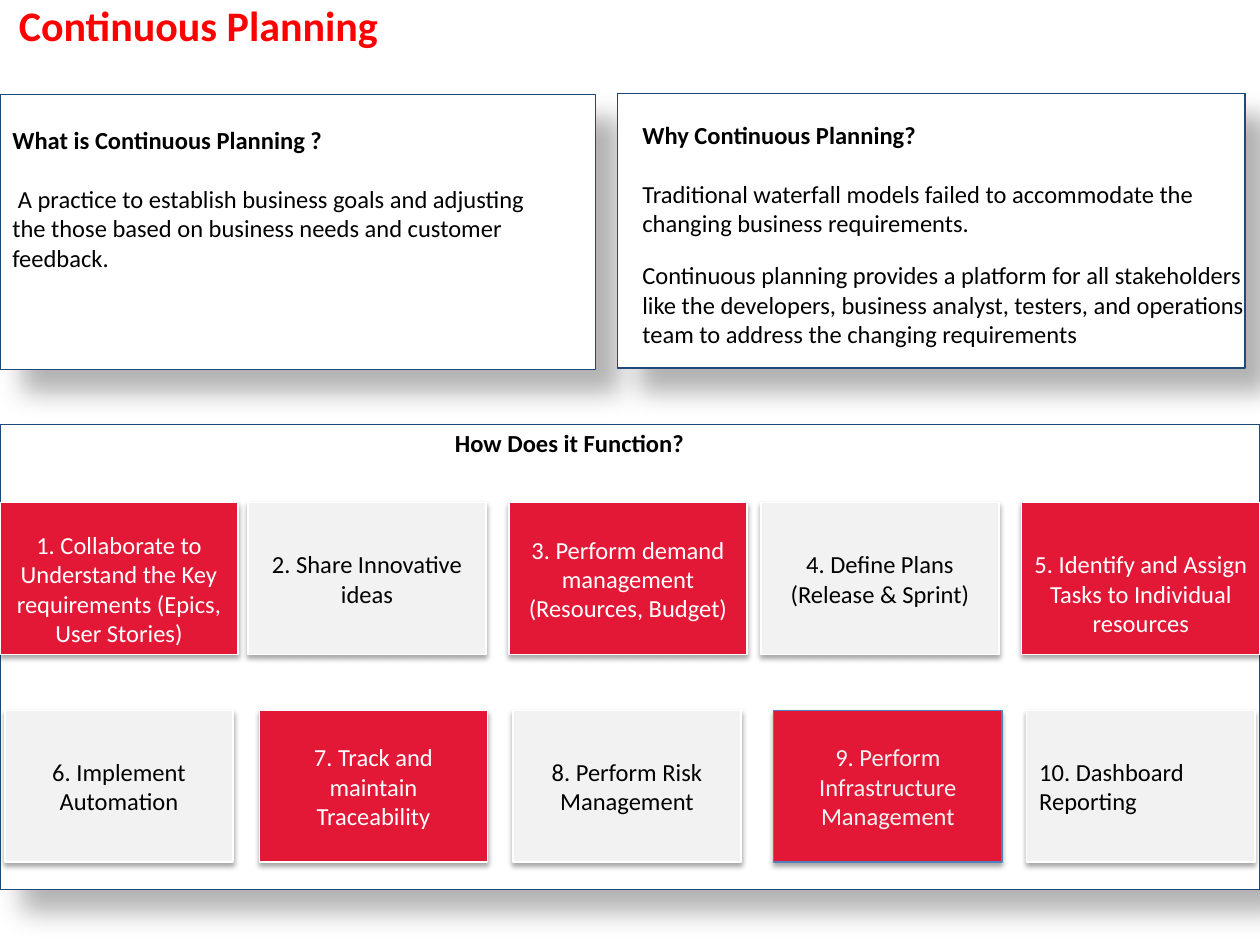
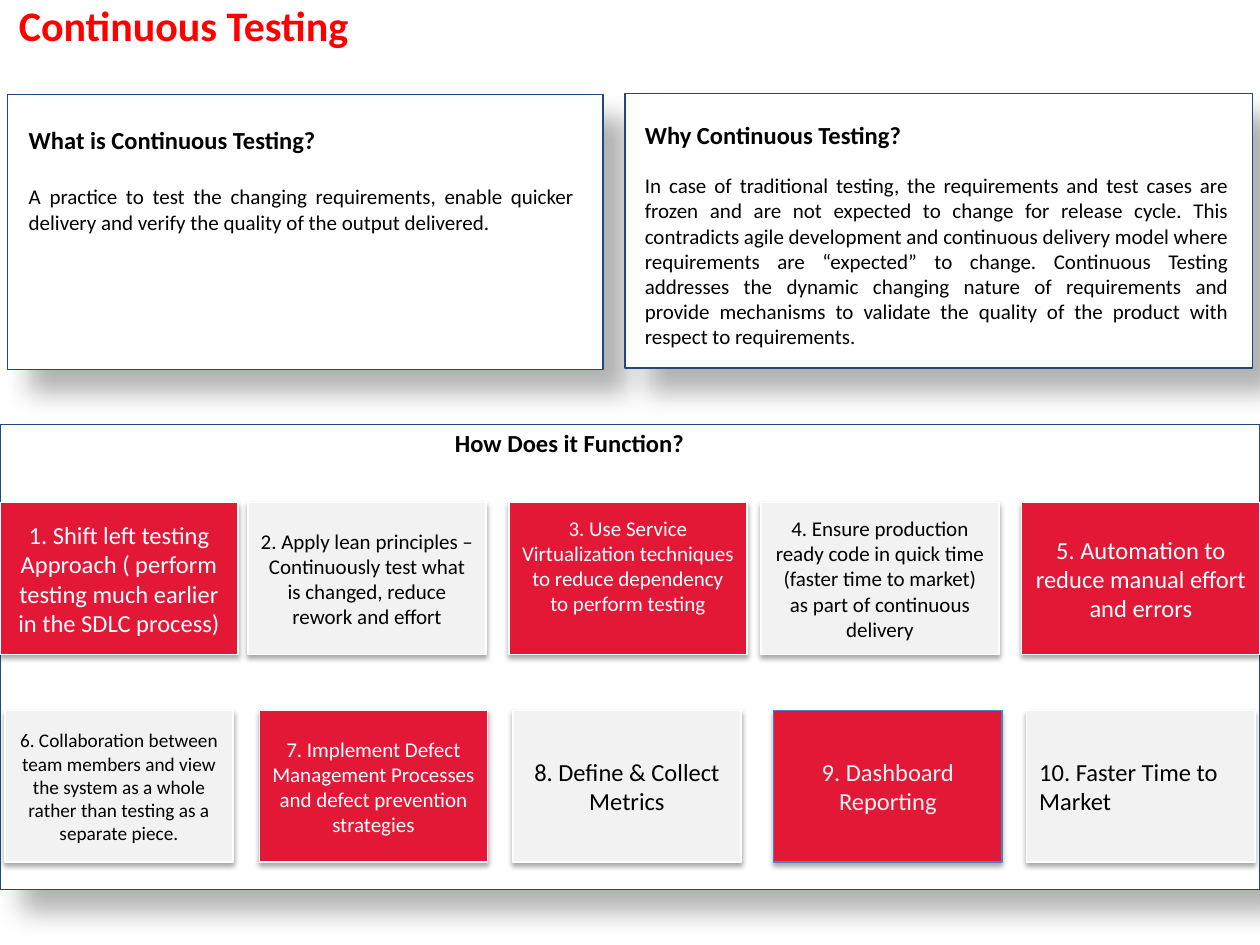
from lxml import etree
from pptx import Presentation
from pptx.dml.color import RGBColor
from pptx.enum.shapes import MSO_SHAPE
from pptx.enum.text import MSO_ANCHOR, PP_ALIGN
from pptx.oxml.ns import qn
from pptx.util import Cm, Pt

RECTANGLE = MSO_SHAPE.RECTANGLE
TOP, MIDDLE = MSO_ANCHOR.TOP, MSO_ANCHOR.MIDDLE
LEFT, CENTER, JUSTIFY = PP_ALIGN.LEFT, PP_ALIGN.CENTER, PP_ALIGN.JUSTIFY

# Shared look
FONT = "Calibri"
BLACK = RGBColor(0x00, 0x00, 0x00)
WHITE = RGBColor(0xFF, 0xFF, 0xFF)
TITLE_RED = RGBColor(0xFF, 0x00, 0x00)
CARD_RED = RGBColor(0xE3, 0x18, 0x37)
PALE_GREY = RGBColor(0xF2, 0xF2, 0xF2)
NAVY = RGBColor(0x1F, 0x49, 0x7D)
BLUE = RGBColor(0x4F, 0x81, 0xBD)

# Shadows: opacity in percent, blur and distance in points, angle in degrees
PANEL_SHADOW = (30, 15, 18, 45)
CARD_SHADOW = (35, 3.1, 1.8, 90)

# Card rows in cm: left edges, top, width, height
CARD_ROWS = [
    ((0, 5, 10.26, 15.34, 20.6), 10.13, 4.8, 3.07),
    ((0.1, 5.23, 10.34, 15.6, 20.7), 14.33, 4.6, 3.05),
]
# Cards that differ from the odd/even rule
CARD_STYLES = {
    9: {"line": BLUE, "color": PALE_GREY},
    10: {"align": LEFT},
}

# Content: paragraphs are (text, format); cards are (text, size, shift down in cm)
PLANNING = {
    "title": "Continuous Planning",
    "panels": [(0, 1.91, 12.01), (12.45, 1.88, 12.65)],
    "texts": [
        ((0, 2.39, 11.3, 3.25), [
            ("What is Continuous Planning ?", {"bold": True}),
            (" A practice to establish business goals and adjusting the those "
             "based on business needs and customer feedback.", {"before": 17}),
        ]),
        ((12.7, 2.29, 12.7, 5.05), [
            ("Why Continuous Planning?", {"bold": True}),
            ("Traditional waterfall models failed to accommodate the changing "
             "business requirements.", {"before": 17}),
            ("Continuous planning provides a platform for all stakeholders like "
             "the developers, business analyst, testers, and operations team to "
             "address the changing requirements", {"before": 12.8}),
        ]),
    ],
    "cards": [
        ("1. Collaborate to Understand the Key requirements (Epics, User Stories)", 14, 0.2),
        ("2. Share Innovative ideas", 14, 0),
        ("3. Perform demand management (Resources, Budget)", 14, 0),
        ("4. Define Plans (Release & Sprint)", 14, 0),
        ("5. Identify and Assign Tasks to Individual resources", 14, 0.3),
        ("6. Implement Automation", 14, 0),
        ("7. Track and maintain Traceability", 14, 0),
        ("8. Perform Risk Management", 14, 0),
        ("9. Perform Infrastructure Management", 14, 0),
        ("10. Dashboard Reporting", 14, 0),
    ],
}
TESTING = {
    "title": "Continuous Testing",
    "panels": [(0.15, 1.91, 12.01), (12.6, 1.88, 12.65)],
    "texts": [
        ((0.33, 2.39, 11.5, 2.5), [
            ("What is Continuous Testing?", {"bold": True}),
            ("A practice to test the changing requirements, enable quicker "
             "delivery and verify the quality of the output delivered.",
             {"size": 12, "align": JUSTIFY, "before": 17}),
        ]),
        ((12.75, 2.29, 12.27, 5.5), [
            ("Why Continuous Testing?", {"bold": True}),
            ("In case of traditional testing, the requirements and test cases are "
             "frozen and are not expected to change for release cycle. This "
             "contradicts agile development and continuous delivery model where "
             "requirements are “expected” to change. Continuous Testing addresses "
             "the dynamic changing nature of requirements and provide mechanisms "
             "to validate the quality of the product with respect to requirements.",
             {"size": 12, "align": JUSTIFY, "before": 13.4}),
        ]),
    ],
    "cards": [
        ("1. Shift left testing Approach ( perform testing much earlier in the SDLC process)", 14, 0),
        ("2. Apply lean principles – Continuously test what is changed, reduce rework and effort", 12, 0),
        ("3. Use Service Virtualization techniques to reduce dependency to perform testing", 12, -0.26),
        ("4. Ensure production ready code in quick time (faster time to market) "
         "as part of continuous delivery", 12, 0),
        ("5. Automation to reduce manual effort and errors", 14, 0),
        ("6. Collaboration between team members and view the system as a whole "
         "rather than testing as a separate piece.", 11, 0),
        ("7. Implement Defect Management Processes and defect prevention strategies", 12, 0),
        ("8. Define & Collect Metrics", 14, 0),
        ("9. Dashboard Reporting", 14, 0),
        ("10. Faster Time to Market", 14, 0),
    ],
}


def write(frame, paragraphs, **frame_format):
    """Fill a text frame with (text, format) paragraphs."""
    for name, value in {"word_wrap": True, "vertical_anchor": TOP, **frame_format}.items():
        setattr(frame, name, value)
    for index, (text, style) in enumerate(paragraphs):
        paragraph = frame.add_paragraph() if index else frame.paragraphs[0]
        paragraph.alignment = style.get("align", LEFT)
        paragraph.space_before = Pt(style.get("before", 0))
        run = paragraph.add_run()
        run.text = text
        font_format = {"name": FONT, "size": Pt(style.get("size", 14)),
                       "bold": style.get("bold", False)}
        for name, value in font_format.items():
            setattr(run.font, name, value)
        run.font.color.rgb = style.get("color", BLACK)


def add_text(slide, box, paragraphs, **frame_format):
    label = slide.shapes.add_textbox(*map(Cm, box))
    write(label.text_frame, paragraphs, **frame_format)


def add_shadow(shape, opacity, blur, distance, angle):
    shape.shadow.inherit = False
    effects = shape._element.spPr.find(qn("a:effectLst"))
    outer = etree.SubElement(effects, qn("a:outerShdw"), blurRad=str(Pt(blur)),
                             dist=str(Pt(distance)), dir=str(angle * 60000),
                             algn="tl", rotWithShape="0")
    color = etree.SubElement(outer, qn("a:srgbClr"), val=str(BLACK))
    etree.SubElement(color, qn("a:alpha"), val=str(opacity * 1000))


def add_box(slide, box, fill, line, shadow):
    shape = slide.shapes.add_shape(RECTANGLE, *map(Cm, box))
    shape.fill.solid()
    shape.fill.fore_color.rgb = fill
    shape.line.color.rgb = line
    shape.line.width = Pt(0.75)
    add_shadow(shape, *shadow)
    return shape


def add_panel(slide, left, top, width, height):
    add_box(slide, (left, top, width, height), WHITE, NAVY, PANEL_SHADOW)


def add_card(slide, box, number, text, size, shift):
    """Odd cards are red, even cards grey; a shift moves the text off centre."""
    is_red = number % 2 == 1
    style = {"line": WHITE, "color": WHITE if is_red else BLACK,
             "align": CENTER, "size": size, **CARD_STYLES.get(number, {})}
    card = add_box(slide, box, CARD_RED if is_red else PALE_GREY, style["line"], CARD_SHADOW)
    write(card.text_frame, [(text, style)], vertical_anchor=MIDDLE,
          margin_top=Cm(0.13 + 2 * max(shift, 0)),
          margin_bottom=Cm(0.13 + 2 * max(-shift, 0)))


def add_cards(slide, cards):
    for row, (lefts, top, width, height) in enumerate(CARD_ROWS):
        for column, left in enumerate(lefts):
            index = row * len(lefts) + column
            add_card(slide, (left, top, width, height), index + 1, *cards[index])


def build_slide(deck, content):
    slide = deck.slides.add_slide(deck.slide_layouts[6])

    # Title
    add_text(slide, (0.38, 0, 19.1, 1.02),
             [(content["title"], {"size": 24, "bold": True, "color": TITLE_RED})],
             margin_left=0, margin_top=0, margin_right=0, margin_bottom=0)

    # Steps
    add_panel(slide, 0, 8.56, 25.4, 9.37)
    add_cards(slide, content["cards"])
    add_text(slide, (8.92, 8.51, 5.16, 0.86),
             [("How Does it Function?", {"bold": True})], word_wrap=False)

    # What and why
    for left, top, width in content["panels"]:
        add_panel(slide, left, top, width, 5.54)
    for box, paragraphs in content["texts"]:
        add_text(slide, box, paragraphs)


def main():
    deck = Presentation()
    deck.slide_width, deck.slide_height = Cm(25.4), Cm(19.05)
    for content in (PLANNING, TESTING):
        build_slide(deck, content)
    deck.save("out.pptx")


if __name__ == "__main__":
    main()
